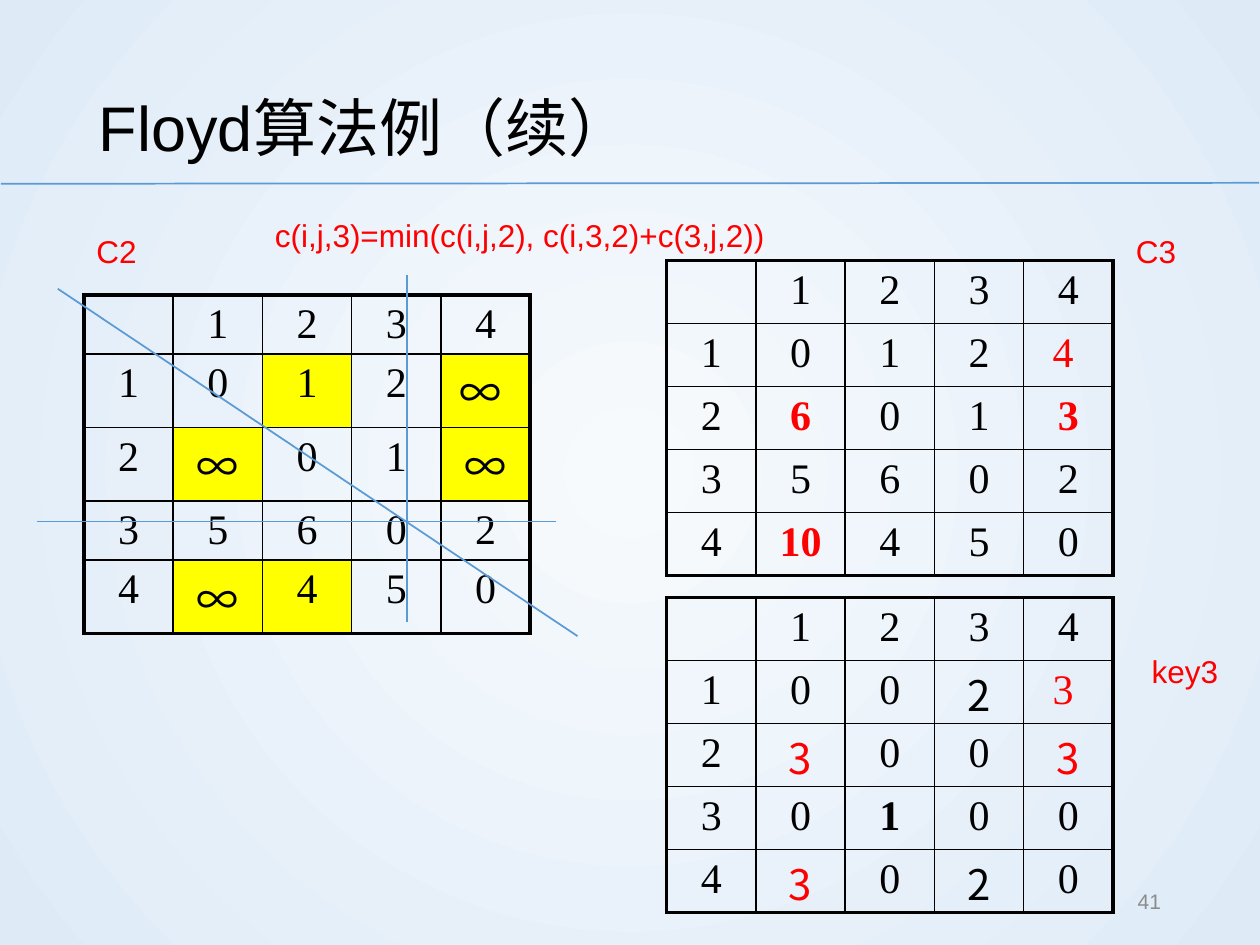
"""Build the Floyd algorithm slide: cost matrices C2 and C3 with the key3 matrix."""
from lxml import etree
from pptx import Presentation
from pptx import util as u
from pptx.dml.color import RGBColor
from pptx.enum import shapes, text
from pptx.oxml import ns

Pt = u.Pt
BLACK = RGBColor(0, 0, 0)
RED = RGBColor(0xFF, 0, 0)
YELLOW = RGBColor(0xFF, 0xFF, 0)
BLUE = RGBColor(0x5B, 0x9B, 0xD5)
GRAY = RGBColor(0x8C, 0x8C, 0x8C)
CENTER_TINT = RGBColor(0xF7, 0xFA, 0xFD)
EDGE_TINT = RGBColor(0xDE, 0xEB, 0xF7)
CJK = "Noto Sans CJK SC"
SERIF = "Times New Roman"
COLUMN_WIDTH = 51


def write_text(paragraph, words, size, color, name="Arial", bold=False):
    run = paragraph.add_run()
    run.text = words
    run.font.color.rgb = color
    for attribute, value in {"size": Pt(size), "name": name, "bold": bold}.items():
        setattr(run.font, attribute, value)
    east_asian = etree.SubElement(run.font._element, ns.qn("a:ea"))
    east_asian.set("typeface", CJK)
    run.font._element.find(ns.qn("a:latin")).addnext(east_asian)


def add_border(cell, side, width):
    line = etree.SubElement(cell._tc.get_or_add_tcPr(), ns.qn(f"a:ln{side}"), w=str(Pt(width)))
    fill = etree.SubElement(line, ns.qn("a:solidFill"))
    etree.SubElement(fill, ns.qn("a:srgbClr"), val=str(BLACK))


presentation = Presentation()
presentation.slide_width, presentation.slide_height = Pt(720), Pt(540)
slide = presentation.slides.add_slide(presentation.slide_layouts[6])

background = slide.background.fill
background.gradient()
for stop, color in zip(background.gradient_stops, (CENTER_TINT, EDGE_TINT)):
    stop.color.rgb = color
gradient = slide.element.find(".//" + ns.qn("a:gradFill"))
gradient.remove(gradient.find(ns.qn("a:lin")))
circle = etree.SubElement(gradient, ns.qn("a:path"), path="circle")
etree.SubElement(circle, ns.qn("a:fillToRect"), l="50000", t="50000", r="50000", b="50000")

# Marks after "/" in a cell: r red, b bold, c CJK font, y yellow fill
matrices = [
    (48, 168.5, (33.7, 42, 42, 33.7, 42), [
        ["", "1", "2", "3", "4"],
        ["1", "0", "1/y", "2", "∞ /cy"],
        ["2", "∞/cy", "0", "1", "∞/cy"],
        ["3", "5", "6", "0", "2"],
        ["4", "∞/cy", "4/y", "5", "0"],
    ]),
    (381, 149, (36,) * 5, [
        ["", "1", "2", "3", "4"],
        ["1", "0", "1", "2", "4 /r"],
        ["2", "6/rb", "0", "1", "3/rb"],
        ["3", "5", "6", "0", "2"],
        ["4", "10/rb", "4", "5", "0"],
    ]),
    (381, 341.5, (36,) * 5, [
        ["", "1", "2", "3", "4"],
        ["1", "0", "0", "2/c", "3 /r"],
        ["2", "3/cr", "0", "0", "3/cr"],
        ["3", "0", "1/b", "0", "0"],
        ["4", "3/cr", "0", "2/c", "0"],
    ]),
]
for left, top, heights, rows in matrices:
    frame = slide.shapes.add_table(5, 5, Pt(left), Pt(top), Pt(5 * COLUMN_WIDTH), Pt(sum(heights)))
    table = frame.table
    table.first_row = table.horz_banding = False
    for column in table.columns:
        column.width = Pt(COLUMN_WIDTH)
    for r, (height, entries) in enumerate(zip(heights, rows)):
        table.rows[r].height = Pt(height)
        for c, entry in enumerate(entries):
            cell = table.cell(r, c)
            outer = {"L": c == 0, "R": c == 4, "T": r == 0, "B": r == 4}
            for side, is_outer in outer.items():
                add_border(cell, side, 2.25 if is_outer else 1)
            words, _, marks = entry.partition("/")
            if "y" in marks:
                cell.fill.solid()
                cell.fill.fore_color.rgb = YELLOW
            else:
                cell.fill.background()
            if "c" in marks and height == 36:
                cell.margin_top, cell.margin_bottom = Pt(1.2), Pt(0)
            if words:
                paragraph = cell.text_frame.paragraphs[0]
                paragraph.alignment = text.PP_ALIGN.CENTER
                write_text(paragraph, words, 24, RED if "r" in marks else BLACK,
                           CJK if "c" in marks else SERIF, "b" in marks)

TOP, MIDDLE = text.MSO_ANCHOR.TOP, text.MSO_ANCHOR.MIDDLE
LEFT, RIGHT = text.PP_ALIGN.LEFT, text.PP_ALIGN.RIGHT
labels = [
    ("Floyd算法例（续）", 49.5, 29, 621, 77.5, 36, BLACK, MIDDLE, LEFT, 1.2),
    ("C2", 48, 129, 54, 29, 18, RED, TOP, LEFT, 1),
    ("c(i,j,3)=min(c(i,j,2), c(i,3,2)+c(3,j,2))", 150, 120, 546, 29, 18, RED, TOP, LEFT, 1),
    ("C3", 642, 129, 54, 29, 18, RED, TOP, LEFT, 1),
    ("key3", 651, 369, 54, 29, 18, RED, TOP, LEFT, 1),
    ("41", 508.5, 500.5, 162, 29, 12, GRAY, MIDDLE, RIGHT, 1),
]
for words, left, top, width, height, size, color, anchor, alignment, spacing in labels:
    box = slide.shapes.add_textbox(Pt(left), Pt(top), Pt(width), Pt(height))
    box.text_frame.word_wrap = True
    box.text_frame.vertical_anchor = anchor
    paragraph = box.text_frame.paragraphs[0]
    for attribute, value in {"alignment": alignment, "line_spacing": spacing}.items():
        setattr(paragraph, attribute, value)
    write_text(paragraph, words, size, color)

for ends in [(0.5, 105, 719.5, 104.5), (33, 165, 330, 363.5),
             (21, 298, 317.5, 298), (232.5, 355.5, 232.5, 157)]:
    line = slide.shapes.add_connector(shapes.MSO_CONNECTOR.STRAIGHT, *map(Pt, ends))
    line.line.color.rgb = BLUE
    line.line.width = Pt(1)
    etree.SubElement(line._element.spPr, ns.qn("a:effectLst"))

presentation.save("out.pptx")
